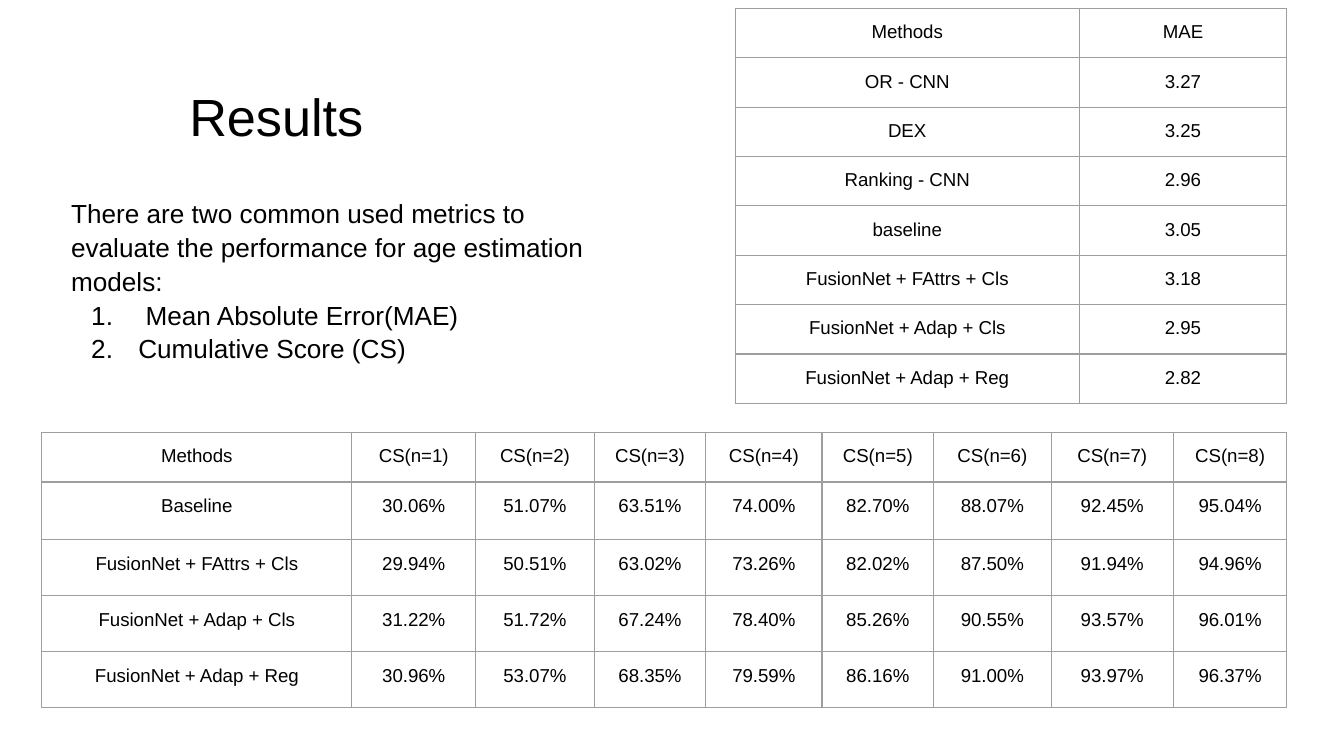
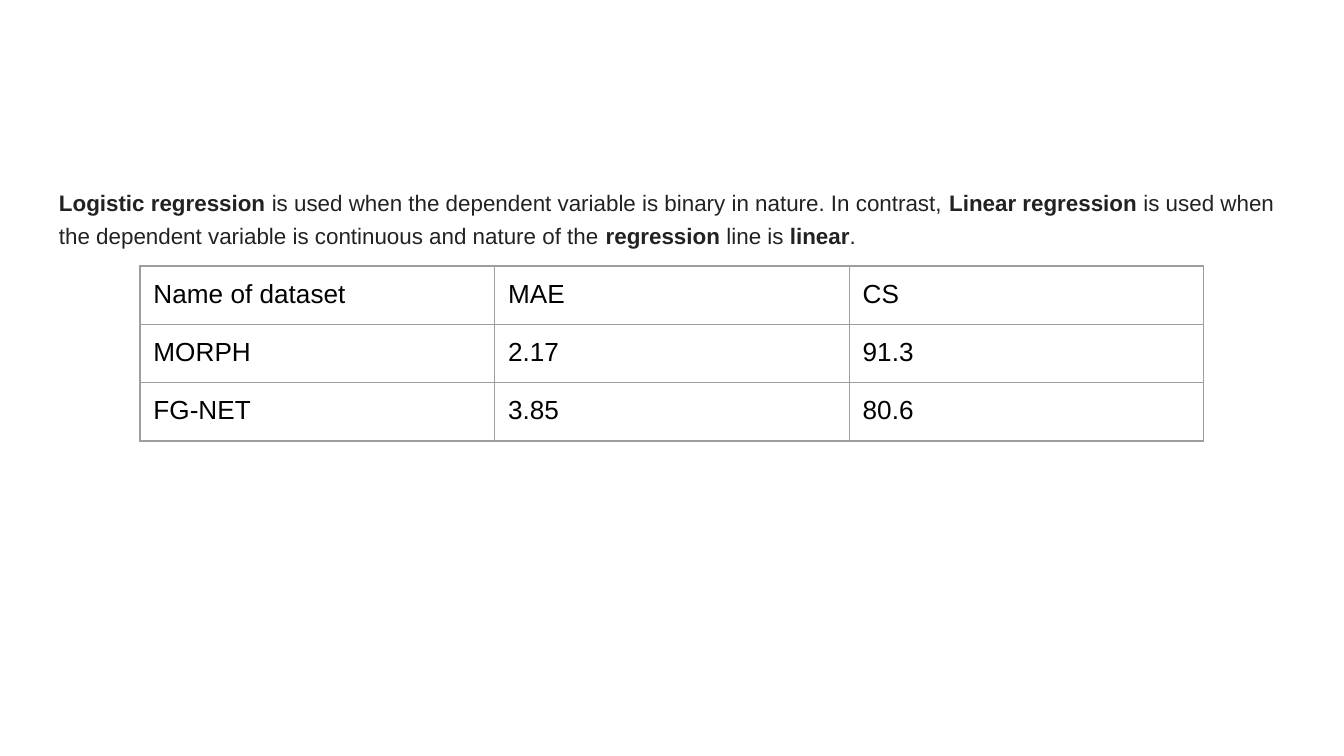
"""Build two slides reporting age estimation results and regression notes."""
from dataclasses import dataclass
from typing import Any

from lxml.etree import SubElement
from pptx import Presentation
from pptx.dml.color import RGBColor
from pptx.enum.text import MSO_ANCHOR, PP_ALIGN
from pptx.oxml.ns import qn
from pptx.slide import Slide
from pptx.util import Pt

COLORS = {"text": "000000", "note": "222222", "grid": "9E9E9E"}
FONT = "Arial"
GRID_WIDTH = Pt(0.75)
INSETS = {f"margin_{side}": Pt(7.2) for side in ("left", "right", "top", "bottom")}
FRAME_FORMAT = {**INSETS, "word_wrap": True, "vertical_anchor": MSO_ANCHOR.TOP}
CELL_FORMAT = {**INSETS, "vertical_anchor": MSO_ANCHOR.TOP}
PLAIN_TABLE = {"first_row": False, "horz_banding": False}


@dataclass(frozen=True)
class Line:
    """One paragraph; odd-numbered runs are bold when it starts with a term."""

    runs: tuple[str, ...]
    margin: float = 0
    indent: float = 0
    numbered: bool = False
    starts_bold: bool = False


@dataclass(frozen=True)
class TextBlock:
    """A box of paragraphs in one text style."""

    box: tuple[float, float, float, float]
    lines: tuple[Line, ...]
    size: float
    spacing: float
    color: str = "text"
    after: float = 0


@dataclass(frozen=True)
class Grid:
    """A ruled table with its column widths and row heights."""

    left: float
    top: float
    columns: tuple[float, ...]
    heights: tuple[float, ...]
    rows: tuple[tuple[str, ...], ...]
    size: float
    align: PP_ALIGN


def apply_format(target: Any, values: dict[str, Any]) -> None:
    """Set every named attribute on the target."""
    for name, value in values.items():
        setattr(target, name, value)


def add_run(paragraph: Any, words: str, size: float, color: str, bold: bool = False) -> None:
    """Append a styled run to a paragraph."""
    run = paragraph.add_run()
    run.text = words
    apply_format(run.font, {"name": FONT, "size": Pt(size), "bold": bold})
    run.font.color.rgb = RGBColor.from_string(COLORS[color])


def draw_text(slide: Slide, block: TextBlock) -> None:
    """Draw a text block."""
    frame = slide.shapes.add_textbox(*map(Pt, block.box)).text_frame
    apply_format(frame, FRAME_FORMAT)
    for index, line in enumerate(block.lines):
        paragraph = frame.add_paragraph() if index else frame.paragraphs[0]
        apply_format(paragraph, {
            "alignment": PP_ALIGN.LEFT,
            "line_spacing": block.spacing,
            "space_after": Pt(block.after),
        })
        properties = paragraph._p.get_or_add_pPr()
        properties.set("marL", str(Pt(line.margin)))
        properties.set("indent", str(Pt(line.indent)))
        if line.numbered:
            SubElement(properties, qn("a:buAutoNum"), type="arabicPeriod")
        for position, words in enumerate(line.runs):
            bold = line.starts_bold and position % 2 == 0
            add_run(paragraph, words, block.size, block.color, bold)


def rule_cell(cell: Any) -> None:
    """Draw the four borders of a cell."""
    properties = cell._tc.get_or_add_tcPr()
    for side in ("lnL", "lnR", "lnT", "lnB"):
        border = SubElement(properties, qn(f"a:{side}"), w=str(GRID_WIDTH))
        fill = SubElement(border, qn("a:solidFill"))
        SubElement(fill, qn("a:srgbClr"), val=COLORS["grid"])


def draw_grid(slide: Slide, grid: Grid) -> None:
    """Draw a ruled table."""
    extent = (grid.left, grid.top, sum(grid.columns), sum(grid.heights))
    table = slide.shapes.add_table(
        len(grid.rows), len(grid.columns), *map(Pt, extent)
    ).table
    apply_format(table, PLAIN_TABLE)
    for column, width in zip(table.columns, grid.columns):
        column.width = Pt(width)
    for row, height, entries in zip(table.rows, grid.heights, grid.rows):
        row.height = Pt(height)
        for cell, entry in zip(row.cells, entries):
            apply_format(cell, CELL_FORMAT)
            rule_cell(cell)
            cell.fill.background()
            paragraph = cell.text_frame.paragraphs[0]
            paragraph.alignment = grid.align
            add_run(paragraph, entry, grid.size, "text")


TITLE = TextBlock((22.3, 35.3, 671, 45.4), (Line(("Results",), 36, 36),), 28, 1.08)
METRICS = TextBlock(
    (31, 97.2, 302.4, 147.6),
    (
        Line(("There are two common used metrics to evaluate the performance "
              "for age estimation models:",)),
        Line((" Mean Absolute Error(MAE)",), 36, -25.2, numbered=True),
        Line(("Cumulative Score (CS)",), 36, -25.2, numbered=True),
    ),
    14,
    1.08,
)
SCORES = Grid(
    22.3, 231.8,
    (166.2, 66.3, 63.6, 59.7, 62.3, 59.8, 63, 65.5, 60.8),
    (25.5, 31, 30, 30, 30),
    (
        ("Methods", *(f"CS(n={n})" for n in range(1, 9))),
        ("Baseline", "30.06%", "51.07%", "63.51%", "74.00%",
         "82.70%", "88.07%", "92.45%", "95.04%"),
        ("FusionNet + FAttrs + Cls", "29.94%", "50.51%", "63.02%", "73.26%",
         "82.02%", "87.50%", "91.94%", "94.96%"),
        ("FusionNet + Adap + Cls", "31.22%", "51.72%", "67.24%", "78.40%",
         "85.26%", "90.55%", "93.57%", "96.01%"),
        ("FusionNet + Adap + Reg", "30.96%", "53.07%", "68.35%", "79.59%",
         "86.16%", "91.00%", "93.97%", "96.37%"),
    ),
    10, PP_ALIGN.CENTER,
)
ERRORS = Grid(
    393.9, 4.5, (184.2, 111.3), (25.5,) * 8,
    (
        ("Methods", "MAE"),
        ("OR - CNN", "3.27"),
        ("DEX", "3.25"),
        ("Ranking - CNN", "2.96"),
        ("baseline", "3.05"),
        ("FusionNet + FAttrs + Cls", "3.18"),
        ("FusionNet + Adap + Cls", "2.95"),
        ("FusionNet + Adap + Reg", "2.82"),
    ),
    10, PP_ALIGN.CENTER,
)
REGRESSION = TextBlock(
    (24.5, 90.7, 671, 269.3),
    (
        Line(
            (
                "Logistic regression",
                " is used when the dependent variable is binary in nature. In contrast, ",
                "Linear regression",
                " is used when the dependent variable is continuous and nature of the ",
                "regression",
                " line is ",
                "linear",
                ".",
            ),
            starts_bold=True,
        ),
    ),
    12, 1.24, "note", 16,
)
DATASETS = Grid(
    75, 142.5, (190,) * 3, (30,) * 3,
    (
        ("Name of dataset", "MAE", "CS"),
        ("MORPH", "2.17", "91.3"),
        ("FG-NET", "3.85", "80.6"),
    ),
    14, PP_ALIGN.LEFT,
)
SLIDES = (((TITLE, METRICS), (SCORES, ERRORS)), ((REGRESSION,), (DATASETS,)))


def main() -> None:
    """Build and save the presentation."""
    deck = Presentation()
    apply_format(deck, {"slide_width": Pt(720), "slide_height": Pt(405)})
    for blocks, grids in SLIDES:
        slide = deck.slides.add_slide(deck.slide_layouts[6])
        for block in blocks:
            draw_text(slide, block)
        for grid in grids:
            draw_grid(slide, grid)
    deck.save("out.pptx")


if __name__ == "__main__":
    main()
